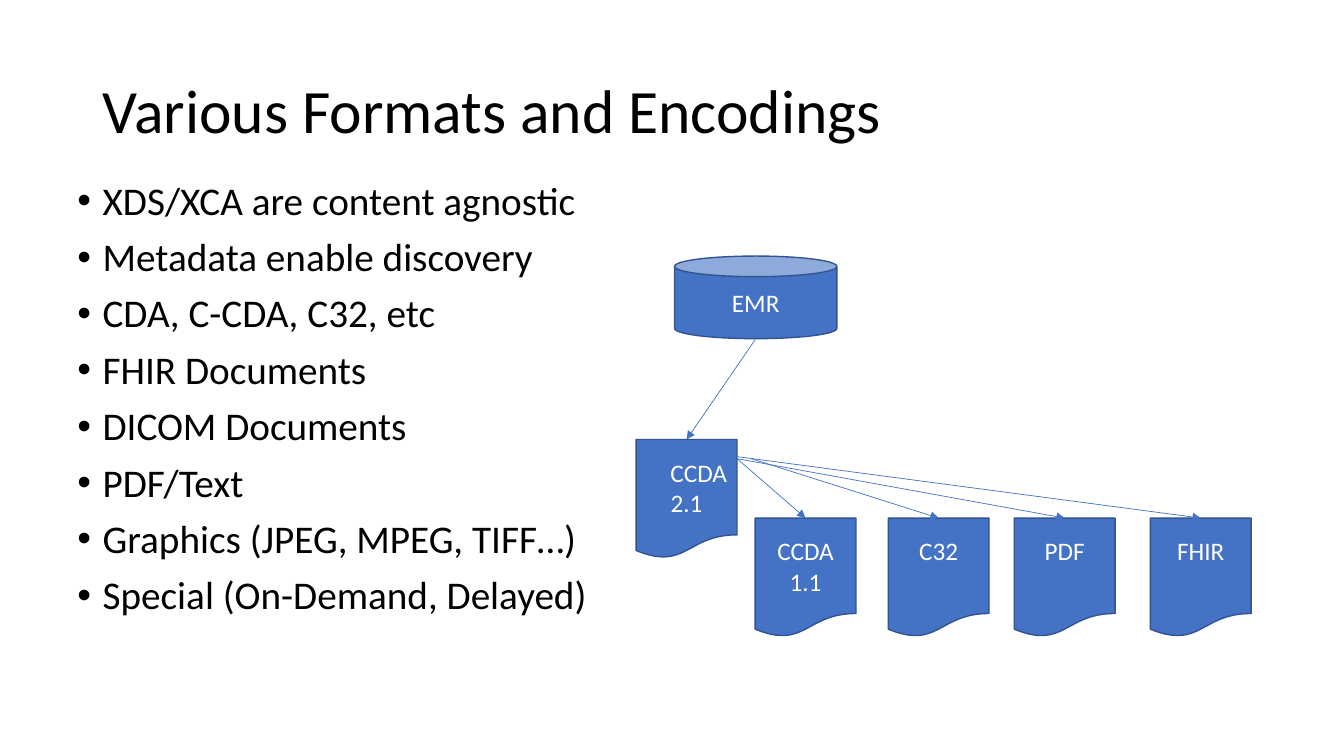
from dataclasses import dataclass

from lxml.etree import SubElement
from pptx import Presentation
from pptx.dml.color import RGBColor
from pptx.enum.shapes import MSO_CONNECTOR, MSO_SHAPE
from pptx.enum.text import MSO_ANCHOR, MSO_AUTO_SIZE, PP_ALIGN
from pptx.oxml.ns import qn
from pptx.util import Emu, Pt

EMU_PER_PX = 9144  # 100 px to the inch
FONT = "Calibri"
COLORS = {"text": "000000", "label": "FFFFFF", "fill": "4472C4",
          "outline": "325491", "arrow": "4472C4"}
TITLE = "Various Formats and Encodings"
BULLETS = [
    "XDS/XCA are content agnostic",
    "Metadata enable discovery",
    "CDA, C-CDA, C32, etc",
    "FHIR Documents",
    "DICOM Documents",
    "PDF/Text",
    "Graphics (JPEG, MPEG, TIFF…)",
    "Special (On-Demand, Delayed)",
]


@dataclass(frozen=True)
class Node:
    lines: tuple[str, ...]
    left: int
    top: int
    width: int = 100
    height: int = 118
    kind: MSO_SHAPE = MSO_SHAPE.FLOWCHART_DOCUMENT
    first_align: PP_ALIGN = PP_ALIGN.CENTER
    bottom_inset: int = 5

    @property
    def center(self) -> int:
        return self.left + self.width // 2


@dataclass(frozen=True)
class Arrow:
    start: tuple[int, int]
    end: tuple[int, int]


ROW_TOP = 514
RAISED = 35  # bottom inset that lifts a single line to the first-line level

EMR = Node(("EMR",), 669, 254, 161, 82, MSO_SHAPE.CAN)
SOURCE = Node(("CCDA", "2.1"), 631, 436, first_align=PP_ALIGN.RIGHT)
CCDA = Node(("CCDA", "1.1"), 749, ROW_TOP)
C32, PDF, FHIR = (
    Node((name,), left, ROW_TOP, bottom_inset=RAISED)
    for name, left in (("C32", 881), ("PDF", 1006), ("FHIR", 1141))
)
NODES = [EMR, SOURCE, CCDA, C32, PDF, FHIR]
ARROWS = [Arrow((EMR.center, 337), (SOURCE.center, SOURCE.top))] + [
    Arrow(start, (target.center, ROW_TOP))
    for start, target in (((731, 455), CCDA), ((745, 455), C32),
                          ((731, 455), PDF), ((731, 453), FHIR))
]


def px(n: int) -> Emu:
    return Emu(n * EMU_PER_PX)


def color(name: str) -> RGBColor:
    return RGBColor.from_string(COLORS[name])


def style(p, size: int, color_name: str, align: PP_ALIGN) -> None:
    p.alignment = align
    p.font.name = FONT
    p.font.size = Pt(size)
    p.font.color.rgb = color(color_name)


def add_title(slide) -> None:
    sp = slide.shapes.title
    sp.left, sp.top, sp.width, sp.height = map(px, (92, 40, 1150, 145))
    tf = sp.text_frame
    tf.text = TITLE
    tf.vertical_anchor = MSO_ANCHOR.MIDDLE
    tf.auto_size = MSO_AUTO_SIZE.NONE
    p = tf.paragraphs[0]
    p.line_spacing = 0.9
    style(p, 44, "text", PP_ALIGN.LEFT)


def add_bullets(slide) -> None:
    sp = slide.shapes.add_textbox(*map(px, (67, 175, 600, 495)))
    tf = sp.text_frame
    tf.word_wrap = True
    tf.text = "\n".join(BULLETS)
    for p in tf.paragraphs:
        p.line_spacing = 0.9
        p.space_before = Pt(10)
        style(p, 28, "text", PP_ALIGN.LEFT)
        pPr = p._p.get_or_add_pPr()
        pPr.set("marL", str(px(25)))
        pPr.set("indent", str(px(-25)))
        bullet_font = pPr.makeelement(qn("a:buFont"), {"typeface": "Arial"})
        bullet = pPr.makeelement(qn("a:buChar"), {"char": "•"})
        pPr.find(qn("a:defRPr")).addprevious(bullet_font)
        bullet_font.addnext(bullet)


def add_node(slide, node: Node) -> None:
    sp = slide.shapes.add_shape(
        node.kind, *map(px, (node.left, node.top, node.width, node.height)))
    sp.shadow.inherit = False
    sp.fill.solid()
    sp.fill.fore_color.rgb = color("fill")
    sp.line.color.rgb = color("outline")
    sp.line.width = Pt(1)
    tf = sp.text_frame
    tf.text = "\n".join(node.lines)
    tf.vertical_anchor = MSO_ANCHOR.MIDDLE
    tf.margin_bottom = px(node.bottom_inset)
    for p in tf.paragraphs:
        style(p, 18, "label", PP_ALIGN.CENTER)
    tf.paragraphs[0].alignment = node.first_align


def add_arrow(slide, arrow: Arrow) -> None:
    line = slide.shapes.add_connector(
        MSO_CONNECTOR.STRAIGHT, *map(px, arrow.start + arrow.end))
    line.line.color.rgb = color("arrow")
    line.line.width = Pt(0.5)
    SubElement(line.line._get_or_add_ln(), qn("a:tailEnd"), type="triangle")
    SubElement(line._element.spPr, qn("a:effectLst"))


def main() -> None:
    prs = Presentation()
    prs.slide_width, prs.slide_height = px(1333), px(750)
    title_only = prs.slide_layouts.get_by_name("Title Only")
    slide = prs.slides.add_slide(title_only)
    add_title(slide)
    add_bullets(slide)
    for node in NODES:
        add_node(slide, node)
    for arrow in ARROWS:
        add_arrow(slide, arrow)
    prs.save("out.pptx")


if __name__ == "__main__":
    main()
